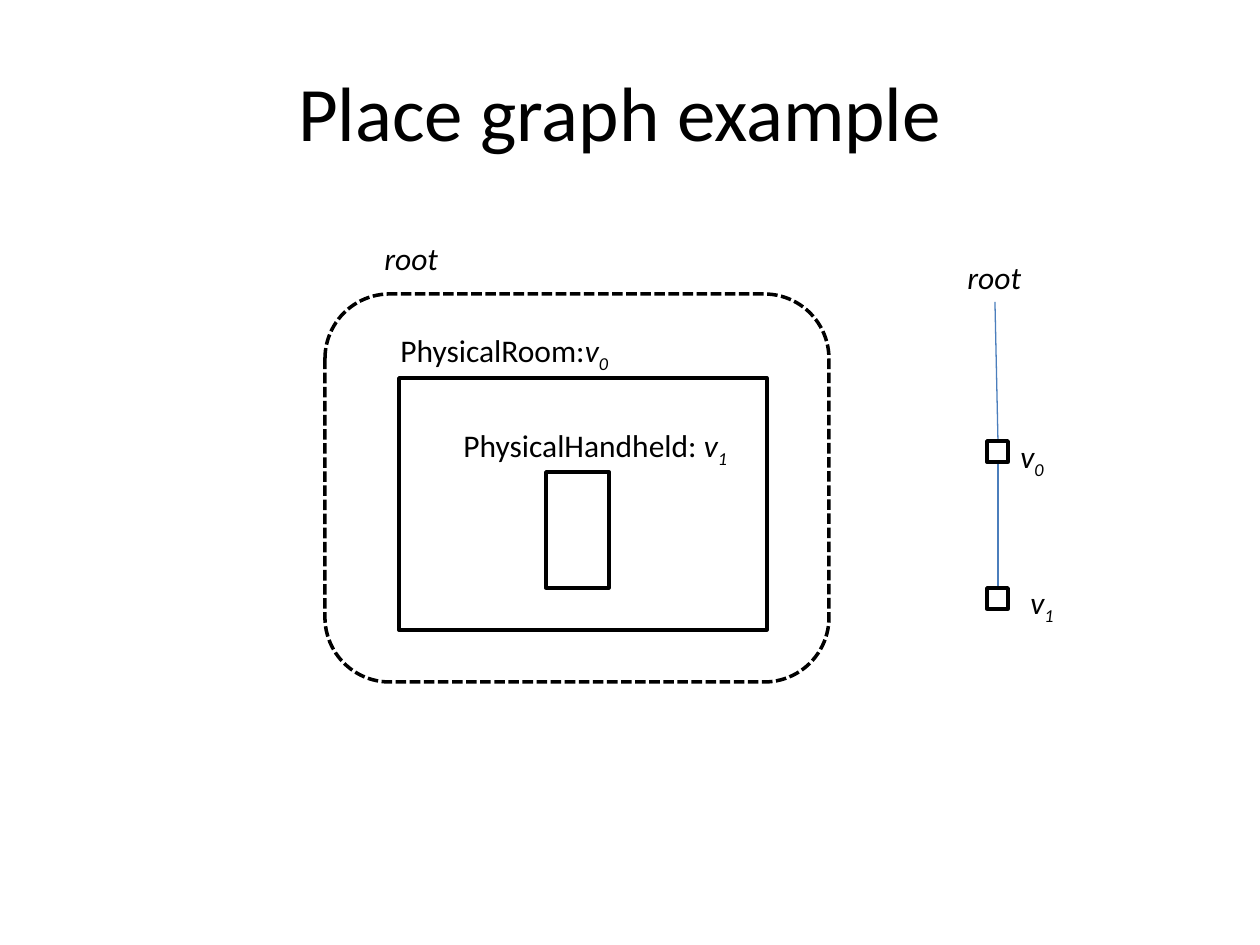
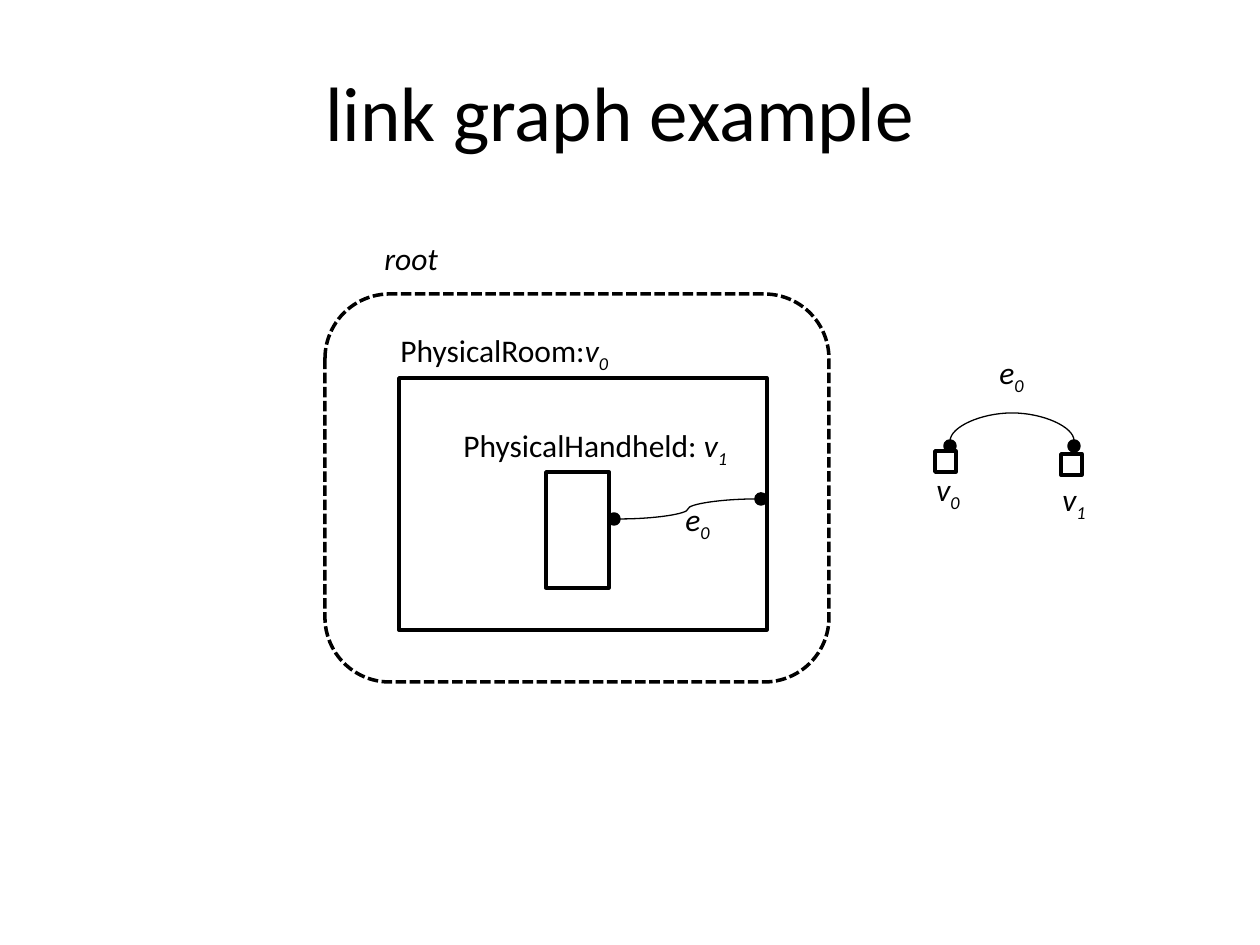
from lxml import etree
from pptx import Presentation
from pptx import util as u
from pptx.dml import color
from pptx.enum import dml, shapes, text
from pptx.oxml import ns

SCALE = 914400 / 126
BLACK = "000000"
BLUE = "4B7EBC"
FONT = "Calibri"
NODE = 21
DOT = 10
THIN = 1588  # EMU between the two ends of the arc, before it is turned


def px(length):
    """Turn pixels into EMU."""
    return u.Emu(round(length * SCALE))


def rgb(value):
    """Turn a hex string into a colour."""
    return color.RGBColor.from_string(value)


class Deck:
    """Holds the style and the current slide."""

    def __init__(self):
        self.presentation = Presentation()
        self.presentation.slide_width = px(1260)
        self.presentation.slide_height = px(945)
        self.slide = None

    def style_text(self, paragraph, size):
        """Give a paragraph the shared font."""
        font = paragraph.font
        font.name, font.size = FONT, u.Pt(size)
        font.color.rgb = rgb(BLACK)

    def add_slide(self, title):
        """Start a slide with a centred title."""
        layout = self.presentation.slide_layouts[5]
        self.slide = self.presentation.slides.add_slide(layout)
        shape = self.slide.shapes.title
        shape.left, shape.top, shape.width, shape.height = map(px, (53, 32, 1134, 157))
        shape.text_frame.text = title
        shape.text_frame.vertical_anchor = text.MSO_ANCHOR.MIDDLE
        paragraph = shape.text_frame.paragraphs[0]
        paragraph.alignment = text.PP_ALIGN.CENTER
        self.style_text(paragraph, 44)

    def outline(self, left, top, width, height, kind="RECTANGLE", fill=None, dash=None):
        """Draw a preset shape with a black border."""
        shape = self.slide.shapes.add_shape(
            shapes.MSO_SHAPE[kind], px(left), px(top), px(width), px(height))
        shape.shadow.inherit = False
        if fill:
            shape.fill.solid()
            shape.fill.fore_color.rgb = rgb(fill)
        else:
            shape.fill.background()
        shape.line.color.rgb = rgb(BLACK)
        shape.line.width = u.Pt(2)
        if dash:
            shape.line.dash_style = dash

    def node(self, left, top):
        """Draw a small square graph node."""
        self.outline(left, top, NODE, NODE)

    def dot(self, left, top):
        """Draw a filled port at the end of a link."""
        self.outline(left, top, DOT, DOT, "OVAL", BLACK)

    def label(self, left, top, width, symbol, index="", name=""):
        """Write an optional name, an italic symbol and its subscript."""
        box = self.slide.shapes.add_textbox(px(left), px(top), px(width), px(50))
        frame = box.text_frame
        frame.word_wrap = False
        frame.auto_size = text.MSO_AUTO_SIZE.SHAPE_TO_FIT_TEXT
        paragraph = frame.paragraphs[0]
        self.style_text(paragraph, 18)
        for part, italic, baseline in ((name, False, 0), (symbol, True, 0), (index, True, -25000)):
            if part:
                run = paragraph.add_run()
                run.text = part
                run.font.italic = italic
                if baseline:
                    run._r.get_or_add_rPr().set("baseline", str(baseline))

    def connect(self, start, end, stroke=BLACK, kind="CURVE"):
        """Draw a connector between two points given in EMU."""
        line = self.slide.shapes.add_connector(shapes.MSO_CONNECTOR[kind], *start, *end)
        line.line.color.rgb = rgb(stroke)
        line.line.width = u.Pt(0.75)
        etree.SubElement(line._element.spPr, ns.qn("a:effectLst"))
        return line

    def line(self, x1, y1, x2, y2, stroke=BLACK, kind="CURVE"):
        """Draw a connector between two points given in pixels."""
        self.connect((px(x1), px(y1)), (px(x2), px(y2)), stroke, kind)

    def arc(self, left, right, base, depth):
        """Draw a curve that rises from a level base by turning a connector."""
        middle, half = px((left + right) / 2), px((right - left) / 2)
        line = self.connect((middle + THIN, px(base) + half), (middle, px(base) - half))
        properties = line._element.spPr
        properties.find(ns.qn("a:xfrm")).set("rot", "5400000")
        geometry = properties.find(ns.qn("a:prstGeom"))
        adjustments = geometry.find(ns.qn("a:avLst"))
        if adjustments is None:
            adjustments = etree.SubElement(geometry, ns.qn("a:avLst"))
        bend = round(px(depth) / THIN * 100000)
        etree.SubElement(adjustments, ns.qn("a:gd"), name="adj1", fmla=f"val {bend}")

    def nested_places(self):
        """Draw the root region, the room and the handheld with their labels."""
        self.outline(399, 378, 368, 252)
        self.outline(325, 294, 504, 388, "ROUNDED_RECTANGLE",
                     dash=dml.MSO_LINE.SQUARE_DOT)
        self.label(372, 233, 81, "root")
        self.label(388, 325, 242, "v", "0", "PhysicalRoom:")
        self.outline(546, 472, 63, 116)
        self.label(451, 420, 294, "v", "1", "PhysicalHandheld: ")


deck = Deck()

deck.add_slide("Place graph example")
deck.nested_places()
deck.label(955, 252, 81, "root")
deck.label(1008, 431, 50, "v", "0")
deck.label(1018, 577, 50, "v", "1")
deck.line(995, 302, 998, 441, BLUE, "STRAIGHT")
deck.line(998, 462, 998, 588, BLUE, "STRAIGHT")
for node_top in (441, 588):
    deck.node(987, node_top)

deck.add_slide("link graph example")
deck.nested_places()
deck.dot(756, 494)
deck.dot(609, 514)
deck.line(620, 519, 756, 499)
for index, node_left, node_top in (("0", 935, 451), ("1", 1061, 454)):
    deck.label(node_left - 11, node_top + (13 if index == "0" else 20), 50, "v", index)
    deck.node(node_left, node_top)
for dot_left in (945, 1069):
    deck.dot(dot_left, 441)
deck.arc(950, 1074, 441, 31)
deck.label(673, 494, 52, "e", "0")
deck.label(987, 347, 52, "e", "0")

deck.presentation.save("out.pptx")
